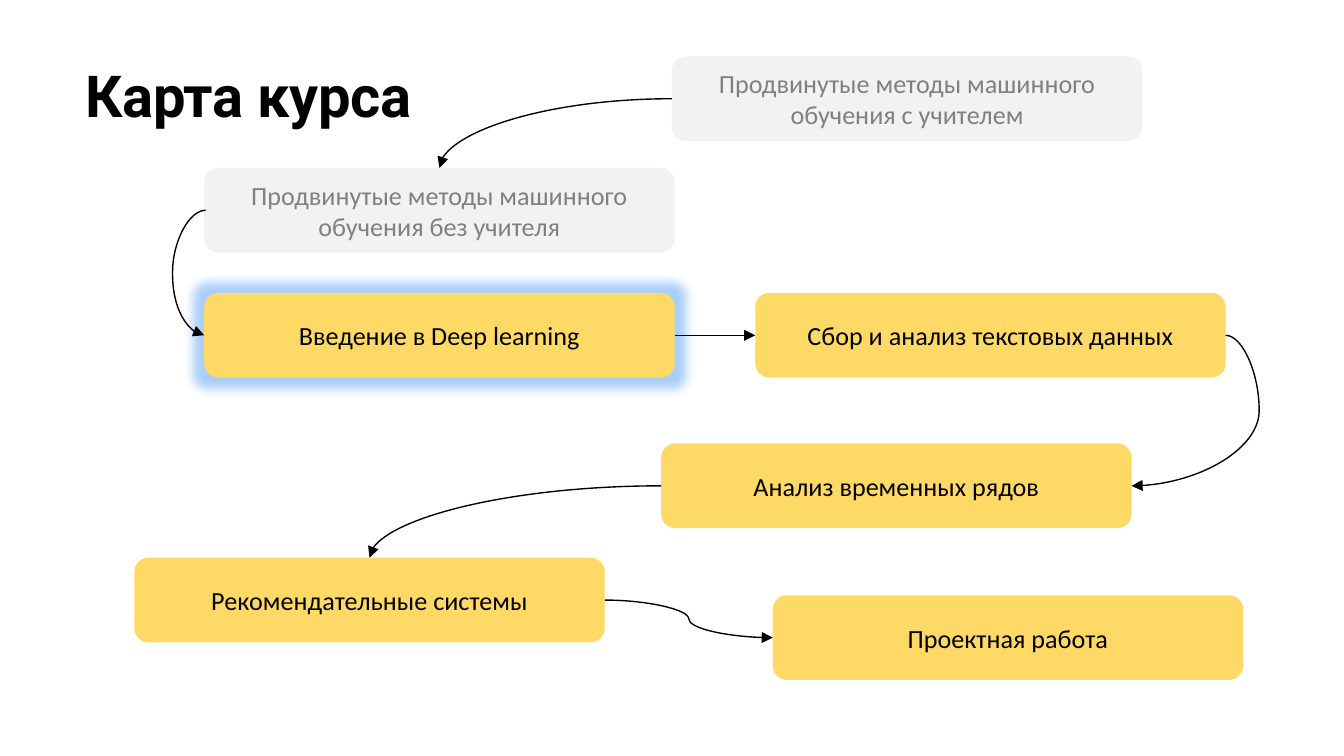
from lxml import etree
from pptx import Presentation, util as u
from pptx.dml.color import RGBColor
from pptx.enum import shapes, text
from pptx.oxml import parse_xml
from pptx.oxml.ns import nsdecls, qn

COLORS = {"done": "F2F2F2", "next": "FFD966", "muted": "808080",
          "ink": "000000", "glow": "2A86F2"}
TITLE = [("Карта ", -30), ("курса", -10)]
BOX_SIZE = (3.5, 0.63)
COURSES = [
    ("supervised", "Продвинутые методы машинного обучения с учителем", 5, 0.42, "done", "muted"),
    ("unsupervised", "Продвинутые методы машинного обучения без учителя", 1.52, 1.25, "done", "muted"),
    ("deep", "Введение в Deep learning", 1.52, 2.18, "next", "ink"),
    ("texts", "Сбор и анализ текстовых данных", 5.62, 2.18, "next", "ink"),
    ("series", "Анализ временных рядов", 4.92, 3.3, "next", "ink"),
    ("recommend", "Рекомендательные системы", 1, 4.15, "next", "ink"),
    ("project", "Проектная работа", 5.75, 4.43, "next", "ink"),
]
CURRENT = "deep"
TOP, LEFT, RIGHT = 0, 1, 3
ARROWS = [
    ("supervised", LEFT, "unsupervised", TOP, None),
    ("unsupervised", LEFT, "deep", LEFT, 1.28),
    ("deep", RIGHT, "texts", LEFT, None),
    ("texts", RIGHT, "series", RIGHT, 9.37),
    ("series", LEFT, "recommend", TOP, None),
    ("recommend", RIGHT, "project", LEFT, None),
]


def rgb(name):
    return RGBColor.from_string(COLORS[name])


def style(obj, **values):
    for name, value in values.items():
        setattr(obj, name, value)


def add_title(s):
    sp = s.shapes.title
    style(sp, left=u.Inches(0.63), top=u.Inches(0.42), width=u.Inches(6.81), height=u.Inches(0.54))
    tf = sp.text_frame
    style(tf, margin_left=u.Inches(0.01), margin_top=u.Inches(0.02), margin_right=0, margin_bottom=0,
          vertical_anchor=text.MSO_ANCHOR.TOP, auto_size=text.MSO_AUTO_SIZE.SHAPE_TO_FIT_TEXT)
    p = tf.paragraphs[0]
    style(p, alignment=text.PP_ALIGN.LEFT, line_spacing=1.0)
    for words, spacing in TITLE:
        r = p.add_run()
        r.text = words
        style(r.font, name="Roboto", size=u.Pt(31), bold=True)
        r.font.color.rgb = rgb("ink")
        r.font._element.set("spc", str(spacing))


def add_course(s, words, left, top, fill, ink):
    sp = s.shapes.add_shape(shapes.MSO_SHAPE.ROUNDED_RECTANGLE,
                            *map(u.Inches, (left, top, *BOX_SIZE)))
    sp.shadow.inherit = False
    sp.fill.solid()
    sp.fill.fore_color.rgb = rgb(fill)
    sp.line.fill.background()
    tf = sp.text_frame
    style(tf, word_wrap=True, vertical_anchor=text.MSO_ANCHOR.MIDDLE)
    p = tf.paragraphs[0]
    p.alignment = text.PP_ALIGN.CENTER
    r = p.add_run()
    r.text = words
    style(r.font, name="Calibri", size=u.Pt(14))
    r.font.color.rgb = rgb(ink)
    return sp


def add_glow(sp):
    effects = sp._element.spPr.find(qn("a:effectLst"))
    effects.append(parse_xml(
        f'<a:glow {nsdecls("a")} rad="{u.Pt(11)}"><a:srgbClr val="{COLORS["glow"]}">'
        '<a:alpha val="40000"/></a:srgbClr></a:glow>'))


def add_arrow(s, start, start_side, end, end_side, bend):
    c = s.shapes.add_connector(shapes.MSO_CONNECTOR.CURVE, 0, 0, 0, 0)
    c.begin_connect(start, start_side)
    c.end_connect(end, end_side)
    if c.begin_x == c.end_x:
        c.begin_x += u.Inches(0.01)
    c.line.width = u.Pt(0.75)
    c.line.color.rgb = rgb("ink")
    etree.SubElement(c.line._get_or_add_ln(), qn("a:tailEnd"), type="triangle")
    spPr = c._element.spPr
    etree.SubElement(spPr, qn("a:effectLst"))
    geom = spPr.find(qn("a:prstGeom"))
    if end_side == TOP:
        geom.set("prst", "curvedConnector2")
    if bend is not None:
        ratio = (u.Inches(bend) - c.begin_x) / (c.end_x - c.begin_x)
        guides = geom.find(qn("a:avLst"))
        etree.SubElement(guides, qn("a:gd"), name="adj1", fmla=f"val {round(ratio * 100000)}")


prs = Presentation()
style(prs, slide_width=u.Inches(10), slide_height=u.Inches(10 * 9 / 16))
s = prs.slides.add_slide(prs.slide_layouts[5])
add_title(s)
boxes = {key: add_course(s, *course) for key, *course in COURSES}
add_glow(boxes[CURRENT])
for start, start_side, end, end_side, bend in ARROWS:
    add_arrow(s, boxes[start], start_side, boxes[end], end_side, bend)
prs.save("out.pptx")
